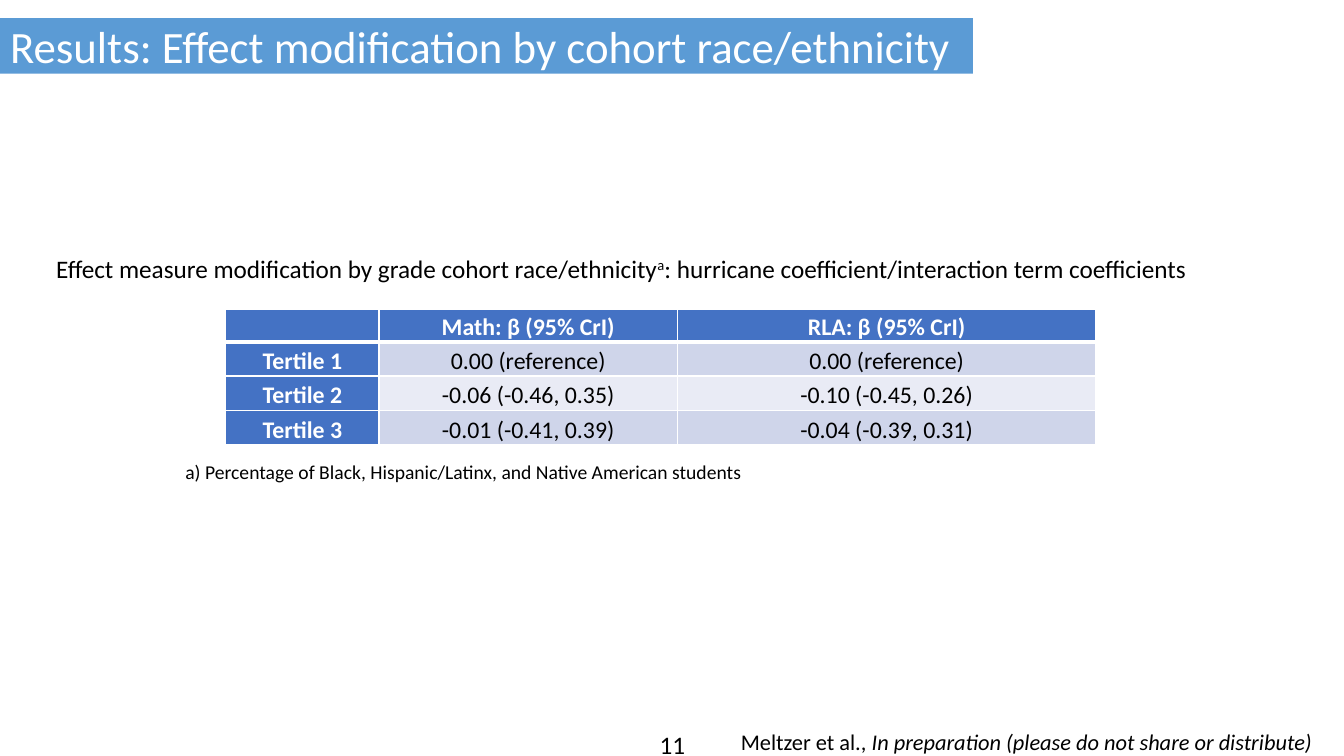
from lxml.etree import SubElement
from pptx import Presentation
from pptx.dml.color import RGBColor
from pptx.enum.text import MSO_ANCHOR, MSO_AUTO_SIZE, PP_ALIGN
from pptx.oxml.ns import qn
from pptx.util import Inches, Pt

COLORS = {
    "bar": "5B9BD5",
    "head": "4472C4",
    "odd": "CFD5EA",
    "even": "E9EBF5",
    "white": "FFFFFF",
    "black": "000000",
}
ROWS = [
    ["", "Math: β (95% CrI)", "RLA: β (95% CrI)"],
    ["Tertile 1", "0.00 (reference)", "0.00 (reference)"],
    ["Tertile 2", "-0.06 (-0.46, 0.35)", "-0.10 (-0.45, 0.26)"],
    ["Tertile 3", "-0.01 (-0.41, 0.39)", "-0.04 (-0.39, 0.31)"],
]
WIDTHS = [1.52, 2.96, 4.15]
HEIGHTS = [0.32, 0.34, 0.34, 0.34]


def color(name):
    return RGBColor.from_string(COLORS[name])


def style(para, size, ink="black", bold=False, align=PP_ALIGN.LEFT):
    para.alignment = align
    font = para.font
    font.name = "Calibri"
    font.size = Pt(size)
    font.bold = bold
    font.color.rgb = color(ink)


def add_title(slide, text):
    title = slide.shapes.title
    title.left, title.top = Inches(0), Inches(0.18)
    title.width, title.height = Inches(9.65), Inches(0.55)
    title.fill.solid()
    title.fill.fore_color.rgb = color("bar")
    frame = title.text_frame
    frame.text = text
    frame.auto_size = MSO_AUTO_SIZE.NONE
    frame.vertical_anchor = MSO_ANCHOR.MIDDLE
    style(frame.paragraphs[0], 32, "white")


def add_text(slide, box, parts, size, wrap=True, align=PP_ALIGN.LEFT):
    shape = slide.shapes.add_textbox(*map(Inches, box))
    frame = shape.text_frame
    frame.word_wrap = wrap
    para = frame.paragraphs[0]
    runs = []
    for part in parts:
        run = para.add_run()
        run.text = part
        runs.append(run)
    style(para, size, align=align)
    return runs


def add_border(cell, side, width):
    props = cell._tc.get_or_add_tcPr()
    line = SubElement(props, qn(f"a:ln{side}"), w=str(Pt(width)))
    fill = SubElement(line, qn("a:solidFill"))
    SubElement(fill, qn("a:srgbClr"), val=COLORS["white"])


def fill_cell(cell, text, row, col):
    header = row == 0 or col == 0
    for side in "LRTB":
        thick = (row == 0 and side == "B") or (row == 1 and side == "T")
        add_border(cell, side, 3 if thick else 1)
    cell.fill.solid()
    band = "odd" if row % 2 else "even"
    cell.fill.fore_color.rgb = color("head" if header else band)
    cell.margin_left = cell.margin_right = Inches(0.12)
    cell.margin_top = cell.margin_bottom = Inches(0)
    cell.vertical_anchor = MSO_ANCHOR.BOTTOM
    cell.text = text
    ink = "white" if header else "black"
    style(cell.text_frame.paragraphs[0], 17, ink, header, PP_ALIGN.CENTER)


def add_grid(slide):
    box = (2.24, 3.07, sum(WIDTHS), sum(HEIGHTS))
    frame = slide.shapes.add_table(len(ROWS), len(WIDTHS), *map(Inches, box))
    table = frame.table
    table.first_col = True
    for col, width in zip(table.columns, WIDTHS):
        col.width = Inches(width)
    for row, height in zip(table.rows, HEIGHTS):
        row.height = Inches(height)
    for row, texts in enumerate(ROWS):
        for col, text in enumerate(texts):
            fill_cell(table.cell(row, col), text, row, col)


def main():
    deck = Presentation()
    deck.slide_width, deck.slide_height = Inches(13.33), Inches(7.5)
    slide = deck.slides.add_slide(deck.slide_layouts[5])

    add_title(slide, "Results: Effect modification by cohort race/ethnicity")
    add_text(slide, (5.17, 7.19, 3, 0.4), ["11"], 18, align=PP_ALIGN.CENTER)
    source = ["Meltzer et al., ", "In preparation (please do not share or distribute)"]
    runs = add_text(slide, (7.25, 7.17, 6.03, 0.37), source, 16)
    runs[1].font.italic = True

    add_grid(slide)
    caption = [
        "Effect measure modification by grade cohort race/ethnicity",
        "a",
        ": hurricane coefficient/interaction term coefficients",
    ]
    runs = add_text(slide, (0.46, 2.46, 11.57, 0.4), caption, 18, wrap=False)
    runs[1]._r.get_or_add_rPr().set("baseline", "30000")
    note = "a) Percentage of Black, Hispanic/Latinx, and Native American students"
    add_text(slide, (1.74, 4.51, 6, 0.34), [note], 14, wrap=False)

    deck.save("out.pptx")


if __name__ == "__main__":
    main()
